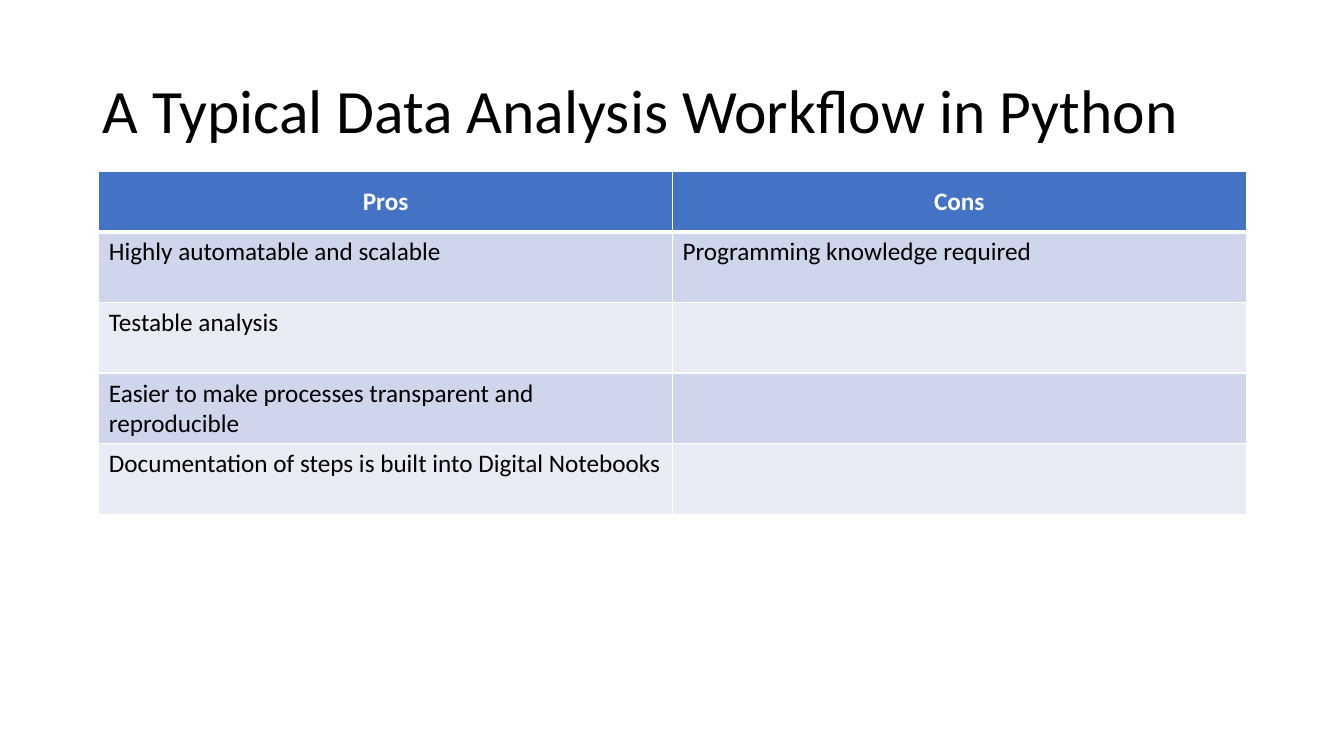
from dataclasses import dataclass

import lxml.etree
import pptx
import pptx.dml.color
import pptx.enum.text
import pptx.oxml.ns
import pptx.slide
import pptx.table
import pptx.text.text
import pptx.util

Inches = pptx.util.Inches
RGBColor = pptx.dml.color.RGBColor
Alignment = pptx.enum.text.PP_ALIGN
Anchor = pptx.enum.text.MSO_ANCHOR

FONT = "Calibri"
BLACK = RGBColor(0x00, 0x00, 0x00)
WHITE = RGBColor(0xFF, 0xFF, 0xFF)
HEADER_BLUE = RGBColor(0x44, 0x72, 0xC4)
DARK_BAND = RGBColor(0xCF, 0xD5, 0xEA)
LIGHT_BAND = RGBColor(0xE9, 0xEB, 0xF5)


@dataclass(frozen=True)
class RowStyle:
    height: float
    fill: RGBColor
    color: RGBColor = BLACK
    bold: bool = False
    alignment: Alignment = Alignment.LEFT
    anchor: Anchor = Anchor.TOP
    top_border: float = 1
    bottom_border: float = 1


@dataclass(frozen=True)
class TableRow:
    pros: str
    cons: str
    style: RowStyle


HEADER = RowStyle(0.6, HEADER_BLUE, WHITE, True, Alignment.CENTER, Anchor.MIDDLE, bottom_border=3)
FIRST = RowStyle(0.7, DARK_BAND, top_border=3)
DARK = RowStyle(0.7, DARK_BAND)
LIGHT = RowStyle(0.7, LIGHT_BAND)

ROWS = [
    TableRow("Pros", "Cons", HEADER),
    TableRow("Highly automatable and scalable", "Programming knowledge required", FIRST),
    TableRow("Testable analysis", "", LIGHT),
    TableRow("Easier to make processes transparent and reproducible", "", DARK),
    TableRow("Documentation of steps is built into Digital Notebooks", "", LIGHT),
]


def add_run(paragraph: pptx.text.text._Paragraph, text: str, size: float,
            color: RGBColor, bold: bool = False) -> None:
    run = paragraph.add_run()
    run.text = text
    run.font.name = FONT
    run.font.size = pptx.util.Pt(size)
    run.font.bold = bold
    run.font.color.rgb = color


def add_title(slide: pptx.slide.Slide, text: str) -> None:
    shape = slide.shapes.add_textbox(Inches(0.92), Inches(0.4), Inches(11.5), Inches(1.45))
    shape.text_frame.word_wrap = True
    shape.text_frame.vertical_anchor = Anchor.MIDDLE
    paragraph = shape.text_frame.paragraphs[0]
    paragraph.line_spacing = 0.9
    add_run(paragraph, text, 44, BLACK)


def set_borders(cell: pptx.table._Cell, style: RowStyle) -> None:
    qualified = pptx.oxml.ns.qn
    properties = cell._tc.get_or_add_tcPr()
    widths = {"L": 1, "R": 1, "T": style.top_border, "B": style.bottom_border}
    for position, (side, width) in enumerate(widths.items()):
        line = lxml.etree.Element(qualified(f"a:ln{side}"), w=str(pptx.util.Pt(width)))
        fill = lxml.etree.SubElement(line, qualified("a:solidFill"))
        lxml.etree.SubElement(fill, qualified("a:srgbClr"), val=str(WHITE))
        properties.insert(position, line)


def fill_cell(cell: pptx.table._Cell, text: str, style: RowStyle) -> None:
    cell.fill.solid()
    cell.fill.fore_color.rgb = style.fill
    cell.vertical_anchor = style.anchor
    set_borders(cell, style)
    paragraph = cell.text_frame.paragraphs[0]
    paragraph.alignment = style.alignment
    if text:
        add_run(paragraph, text, 18, style.color, style.bold)


def add_comparison(slide: pptx.slide.Slide, rows: list[TableRow]) -> None:
    height = sum(row.style.height for row in rows)
    table = slide.shapes.add_table(
        len(rows), 2, Inches(0.98), Inches(1.7), Inches(11.38), Inches(height)
    ).table
    for index, row in enumerate(rows):
        table.rows[index].height = Inches(row.style.height)
        for column, text in enumerate((row.pros, row.cons)):
            fill_cell(table.cell(index, column), text, row.style)


def main() -> None:
    presentation = pptx.Presentation()
    presentation.slide_width = Inches(13.33)
    presentation.slide_height = Inches(7.5)
    slide = presentation.slides.add_slide(presentation.slide_layouts[6])
    add_title(slide, "A Typical Data Analysis Workflow in Python")
    add_comparison(slide, ROWS)
    presentation.save("out.pptx")


if __name__ == "__main__":
    main()
